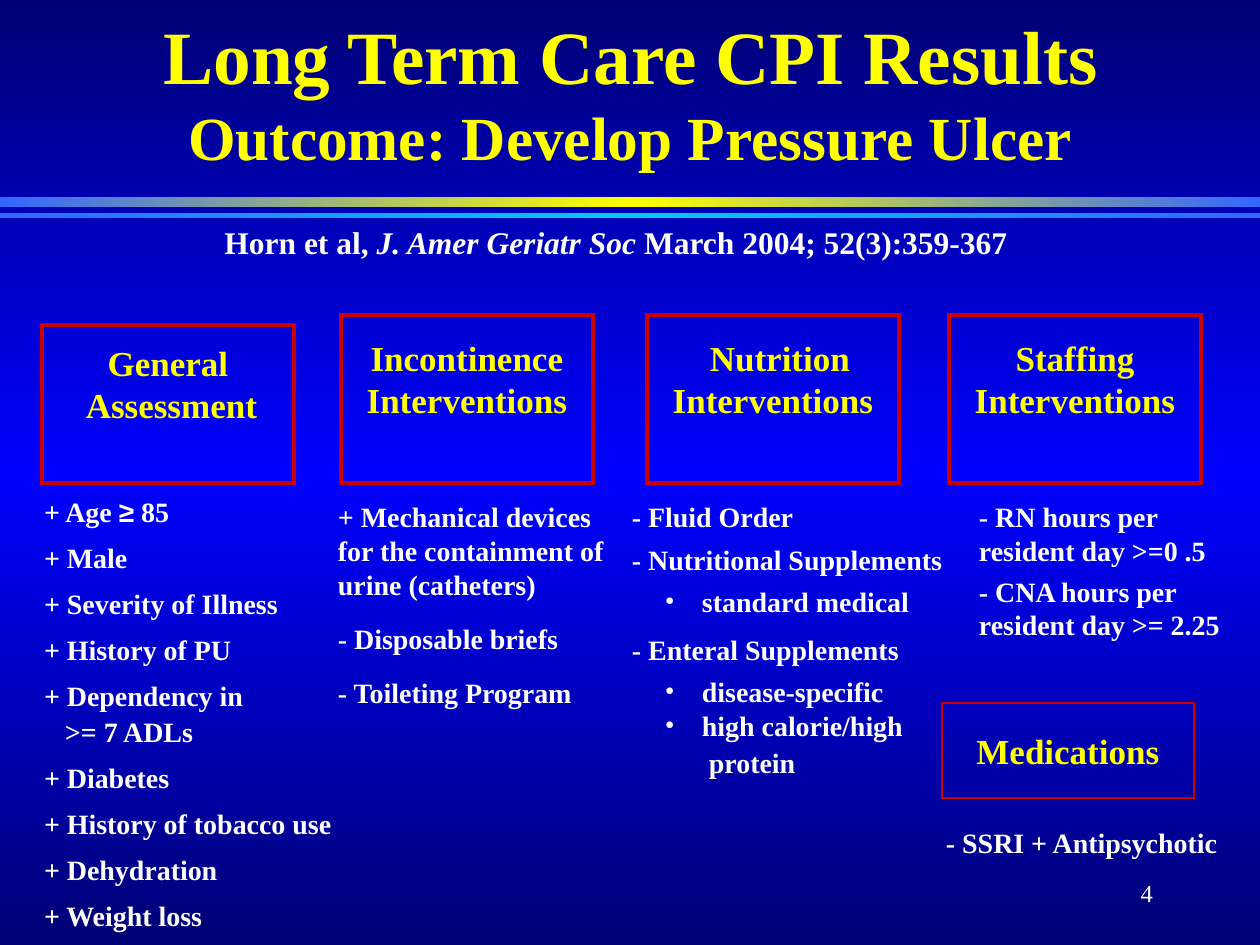
"""Build the slide on care factors linked to developing pressure ulcers."""
from copy import deepcopy
from dataclasses import dataclass
from typing import Any, NamedTuple, Optional

from lxml import etree
from pptx import Presentation
from pptx.dml import color
from pptx.enum import shapes, text
from pptx.oxml import ns
from pptx import util as u

EMU_PER_PX = 914400 / 126
SLIDE_W, SLIDE_H = 1260, 945
FONT = "Times New Roman"
COLORS = {
    "navy": "000075",
    "blue": "0000FF",
    "band": "3366FF",
    "cyan": "00CCFF",
    "yellow": "FFFF00",
    "red": "CC0000",
    "white": "FFFFFF",
}


class Area(NamedTuple):
    left: int
    top: int
    width: int
    height: int


class Piece(NamedTuple):
    text: str
    size: Optional[float] = None
    italic: Optional[bool] = None
    font: Optional[str] = None
    on_new_line: bool = False


@dataclass(frozen=True)
class Line:
    pieces: tuple[Piece, ...]
    before: float = 0
    left: int = 0
    hang: int = 0
    spacing: Optional[float] = None


@dataclass(frozen=True)
class Style:
    size: float
    color: str = "white"
    bold: bool = True
    align: Any = text.PP_ALIGN.LEFT
    anchor: Any = text.MSO_ANCHOR.TOP
    inset_y: int = 6
    inset_bottom: int = 6


@dataclass(frozen=True)
class Header:
    area: Area
    lines: tuple[Line, ...]
    weight: float = 2
    inset_bottom: int = 48


@dataclass(frozen=True)
class Block:
    area: Area
    lines: tuple[Line, ...]
    style: Style = Style(16)


def px(length: float) -> u.Emu:
    return u.Emu(round(length * EMU_PER_PX))


def rgb(name: str) -> color.RGBColor:
    return color.RGBColor.from_string(COLORS[name])


def line(words: str, before: float = 0, left: int = 0, hang: int = 0,
         spacing: Optional[float] = None) -> Line:
    return Line((Piece(words),), before, left, hang, spacing)


def paint_gradient(fill: Any, element: Any, outer: str, middle: str, angle: int) -> None:
    fill.gradient()
    fill.gradient_angle = angle
    stop_list = next(element.iter(ns.qn("a:gsLst")))
    stop_list.append(deepcopy(stop_list[0]))
    for stop, position, name in zip(fill.gradient_stops, (0, 0.5, 1), (outer, middle, outer)):
        stop.position = position
        stop.color.rgb = rgb(name)


def write(frame: Any, lines: tuple[Line, ...], style: Style) -> None:
    frame.word_wrap = True
    frame.vertical_anchor = style.anchor
    frame.margin_left = frame.margin_right = px(13)
    frame.margin_top = px(style.inset_y)
    frame.margin_bottom = px(style.inset_bottom)
    for index, item in enumerate(lines):
        paragraph = frame.paragraphs[0] if index == 0 else frame.add_paragraph()
        properties = paragraph._p.get_or_add_pPr()
        properties.set("marL", str(px(item.left)))
        properties.set("indent", str(px(-item.hang)))
        if item.hang:
            etree.SubElement(properties, ns.qn("a:buFont"), typeface=FONT)
            etree.SubElement(properties, ns.qn("a:buChar"), char="•")
        paragraph.alignment = style.align
        paragraph.space_before = u.Pt(item.before)
        if item.spacing:
            paragraph.line_spacing = item.spacing
        paragraph.font.name = FONT
        paragraph.font.size = u.Pt(style.size)
        paragraph.font.bold = style.bold
        paragraph.font.color.rgb = rgb(style.color)
        for piece in item.pieces:
            if piece.on_new_line:
                paragraph.add_line_break()
            run = paragraph.add_run()
            run.text = piece.text
            if piece.size:
                run.font.size = u.Pt(piece.size)
            if piece.italic:
                run.font.italic = True
            if piece.font:
                run.font.name = piece.font


def draw_rectangle(slide: Any, area: Area) -> Any:
    rectangle = slide.shapes.add_shape(shapes.MSO_SHAPE.RECTANGLE, *map(px, area))
    rectangle.shadow.inherit = False
    return rectangle


def draw_band(slide: Any, area: Area, middle: str) -> None:
    band = draw_rectangle(slide, area)
    band.line.fill.background()
    paint_gradient(band.fill, band._element, "band", middle, 0)


def draw_header(slide: Any, header: Header) -> None:
    frame = draw_rectangle(slide, header.area)
    frame.fill.background()
    frame.line.color.rgb = rgb("red")
    frame.line.width = u.Pt(header.weight)
    outline = next(frame._element.iter(ns.qn("a:ln")))
    etree.SubElement(outline, ns.qn("a:miter"), lim="800000")
    write(frame.text_frame, header.lines,
          Style(20, "yellow", align=text.PP_ALIGN.CENTER, anchor=text.MSO_ANCHOR.MIDDLE,
                inset_bottom=header.inset_bottom))


def draw_block(slide: Any, block: Block) -> None:
    box = slide.shapes.add_textbox(*map(px, block.area))
    write(box.text_frame, block.lines, block.style)


BANDS = ((Area(0, 197, SLIDE_W, 10), "yellow"), (Area(0, 213, SLIDE_W, 5), "cyan"))

HEADERS = (
    Header(Area(42, 325, 252, 158), (line("General"), line("Assessment", left=7))),
    Header(Area(341, 315, 252, 168), (line("Incontinence"), line("Interventions"))),
    Header(Area(647, 315, 252, 168), (line("Nutrition", left=14), line("Interventions"))),
    Header(Area(949, 315, 252, 168), (line("Staffing"), line("Interventions"))),
    Header(Area(942, 703, 252, 95), (line("Medications"),), 0.75, 6),
)

TIGHT = 0.85
ASSESSMENT = (
    Line((Piece("+ Age "), Piece("≥", font="Arial"), Piece(" 85")), spacing=TIGHT),
    *(line(factor, 10, spacing=TIGHT) for factor in (
        "+ Male", "+ Severity of Illness", "+ History of PU", "+ Dependency in")),
    line(">= 7 ADLs", 4, left=21, spacing=TIGHT),
    *(line(factor, 10, spacing=TIGHT) for factor in (
        "+ Diabetes", "+ History of tobacco use", "+ Dehydration", "+ Weight loss")),
)
INCONTINENCE = (
    line("+ Mechanical devices for the containment of urine (catheters)"),
    line("- Disposable briefs", 10, spacing=1.1),
    line("- Toileting Program", 10, spacing=1.1),
)
NUTRITION = (
    line("- Fluid Order"),
    line("- Nutritional Supplements", 5),
    line("standard medical", 5, 70, 37),
    line("- Enteral Supplements", 8),
    line("disease-specific", 5, 70, 37),
    line("high calorie/high", 0, 70, 37),
    line("protein", 2.5, 77),
)
STAFFING = (
    line("- RN hours per resident day >=0 .5"),
    line("- CNA hours per resident day >= 2.25", 4),
)
TITLE = (Line((Piece("Long Term Care CPI Results", 43),
               Piece("Outcome: Develop Pressure Ulcer", 35, on_new_line=True))),)
CITATION = (Line((Piece("Horn et al, "), Piece("J. Amer Geriatr Soc", italic=True),
                  Piece(" March 2004; 52(3):359-367"))),)

BLOCKS = (
    Block(Area(32, 116, 1197, 63), TITLE,
          Style(43, "yellow", align=text.PP_ALIGN.CENTER, anchor=text.MSO_ANCHOR.BOTTOM)),
    Block(Area(0, 210, 1232, 63), CITATION,
          Style(18, align=text.PP_ALIGN.CENTER, inset_y=13)),
    Block(Area(31, 494, 336, 440), ASSESSMENT),
    Block(Area(325, 494, 305, 223), INCONTINENCE),
    Block(Area(619, 494, 388, 292), NUTRITION),
    Block(Area(966, 494, 294, 160), STAFFING),
    Block(Area(933, 820, 305, 47), (line("- SSRI + Antipsychotic"),)),
    Block(Area(904, 861, 262, 63), (line("4"),),
          Style(14, bold=False, align=text.PP_ALIGN.RIGHT, anchor=text.MSO_ANCHOR.MIDDLE)),
)


def main() -> None:
    deck = Presentation()
    deck.slide_width, deck.slide_height = px(SLIDE_W), px(SLIDE_H)
    slide = deck.slides.add_slide(deck.slide_layouts[6])
    paint_gradient(slide.background.fill, slide._element, "navy", "blue", 90)
    for area, middle in BANDS:
        draw_band(slide, area, middle)
    for header in HEADERS:
        draw_header(slide, header)
    for block in BLOCKS:
        draw_block(slide, block)
    deck.save("out.pptx")


if __name__ == "__main__":
    main()
